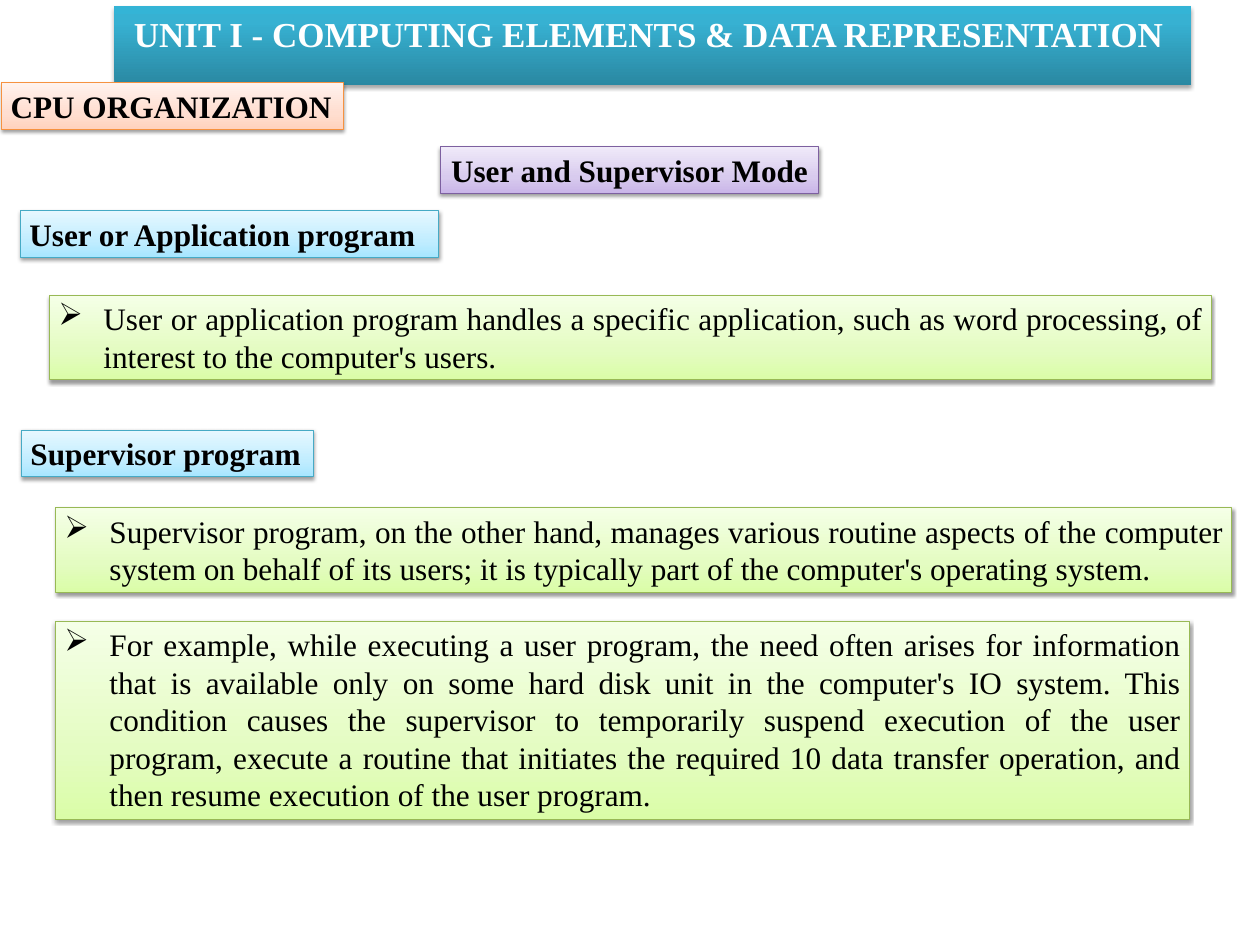
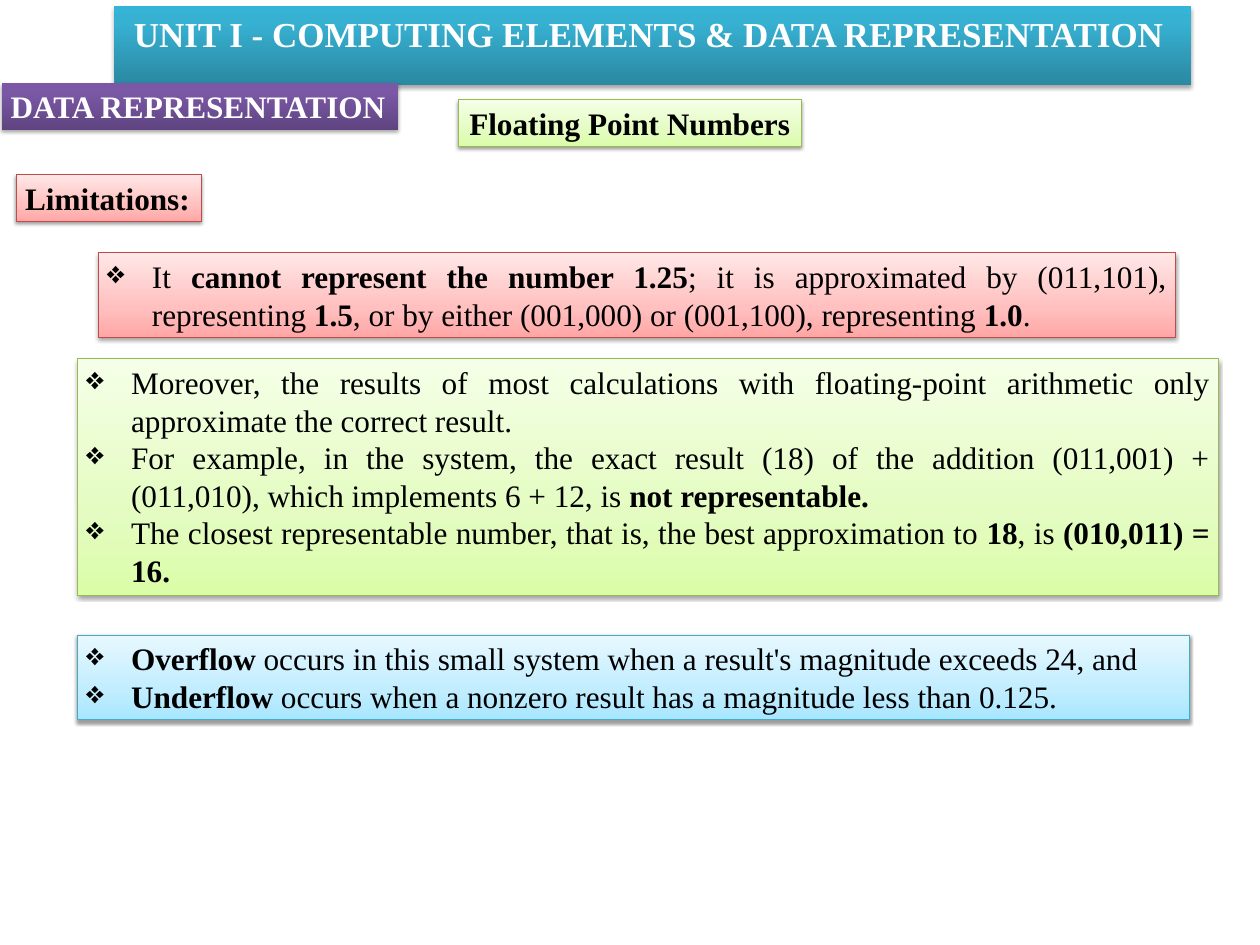
import copy

import lxml.etree
import pptx
import pptx.dml.color
import pptx.enum.text
import pptx.oxml
import pptx.oxml.ns
import pptx.util

Cm = pptx.util.Cm
Pt = pptx.util.Pt
RGBColor = pptx.dml.color.RGBColor
qn = pptx.oxml.ns.qn
ALIGN = pptx.enum.text.PP_ALIGN

FONT = "Times New Roman"
UNIT_TITLE = "UNIT I - COMPUTING ELEMENTS & DATA REPRESENTATION "
TITLE_BOX = (3.23, 0.18, 30.38, 1.55)
LABEL_HEIGHT = 1.32
LINE_HEIGHT = 1.07
TEXT_MARGIN = 0.25
INDENT = 1.27

BLACK = RGBColor(0x00, 0x00, 0x00)
WHITE = RGBColor(0xFF, 0xFF, 0xFF)
TEAL = (RGBColor(0x2A, 0x88, 0xA2), RGBColor(0x37, 0xB1, 0xD2), RGBColor(0x34, 0xB4, 0xD6))
VIOLET = (RGBColor(0x5F, 0x44, 0x80), RGBColor(0x7B, 0x58, 0xA6), RGBColor(0x7C, 0x57, 0xA8))
ORANGE = (RGBColor(0xFF, 0xD2, 0xBD), RGBColor(0xFF, 0xDE, 0xD0), RGBColor(0xFF, 0xF2, 0xED))
LILAC = (RGBColor(0xC9, 0xB5, 0xE8), RGBColor(0xD8, 0xCB, 0xEE), RGBColor(0xF0, 0xEA, 0xF9))
BLUE = (RGBColor(0xA7, 0xE6, 0xFF), RGBColor(0xC1, 0xED, 0xFF), RGBColor(0xE7, 0xF8, 0xFF))
GREEN = (RGBColor(0xDA, 0xFD, 0xA7), RGBColor(0xE4, 0xFC, 0xC2), RGBColor(0xF5, 0xFF, 0xE7))
RED = (RGBColor(0xFF, 0xA6, 0xA5), RGBColor(0xFF, 0xC0, 0xBF), RGBColor(0xFF, 0xE7, 0xE7))
BORDERS = {
    ORANGE: RGBColor(0xF6, 0x92, 0x40),
    LILAC: RGBColor(0x7D, 0x60, 0xA0),
    BLUE: RGBColor(0x46, 0xAA, 0xC5),
    GREEN: RGBColor(0x98, 0xB9, 0x55),
    RED: RGBColor(0xBF, 0x4C, 0x48),
}

SLIDES = [
    {
        "bullet": "➢",
        "labels": [
            ("CPU ORGANIZATION", ORANGE, 0.05, 2.34, 9.65, ALIGN.LEFT, False),
            ("User and Supervisor Mode", LILAC, 12.42, 4.14, 10.69, ALIGN.CENTER, False),
            ("User or Application program", BLUE, 0.58, 5.94, 11.81, ALIGN.LEFT, True),
            ("Supervisor program", BLUE, 0.61, 12.14, 8.23, ALIGN.LEFT, False),
        ],
        "bodies": [
            (GREEN, 1.4, 8.33, 32.79, 2, [
                "User or application program handles a specific application, such as word "
                "processing, of interest to the computer's users.",
            ]),
            (GREEN, 1.57, 14.33, 33.2, 2, [
                "Supervisor program, on the other hand, manages various routine aspects of the "
                "computer system on behalf of its users; it is typically part of the computer's "
                "operating system.",
            ]),
            (GREEN, 1.57, 17.53, 32, 5, [
                "For example, while executing a user program, the need often arises for "
                "information that is available only on some hard disk unit in the computer's IO "
                "system. This condition causes the supervisor to temporarily suspend execution "
                "of the user program, execute a routine that initiates the required 10 data "
                "transfer operation, and then resume execution of the user program.",
            ]),
        ],
    },
    {
        "bullet": "❖",
        "labels": [
            ("DATA REPRESENTATION", VIOLET, 0.05, 2.34, 11.18, ALIGN.LEFT, False),
            ("Floating Point Numbers", GREEN, 12.93, 2.82, 9.68, ALIGN.CENTER, False),
            ("Limitations:", RED, 0.46, 4.93, 5.23, ALIGN.LEFT, False),
        ],
        "bodies": [
            (RED, 2.77, 7.14, 30.4, 2, [
                "It **cannot represent the number 1.25**; it is approximated by (011,101), "
                "representing **1.5**, or by either (001,000) or (001,100), representing **1.0**.",
            ]),
            (GREEN, 2.18, 10.13, 32.21, 6, [
                "Moreover, the results of most calculations with floating-point arithmetic only "
                "approximate the correct result. ",
                "For example, in the system, the exact result (18) of the addition (011,001) + "
                "(011,010), which implements 6 + 12, is **not representable. **",
                "The closest representable number, that is, the best approximation to **18**, "
                "is **(010,011) = 16.**",
            ]),
            (BLUE, 2.18, 17.93, 31.39, 2, [
                "**Overflow **occurs in this small system when a result's magnitude exceeds 24, and ",
                "**Underflow** occurs when a nonzero result has a magnitude less than 0.125.",
            ]),
        ],
    },
]


def style_box(shape, colors, wrap):
    strong = colors not in BORDERS
    shape.fill.gradient()
    shape.fill.gradient_angle = 90
    stops = shape._element.spPr.find(".//" + qn("a:gsLst"))
    stops.insert(1, copy.deepcopy(stops[0]))
    positions = (0, 0.8 if strong else 0.35, 1)
    for stop, color, position in zip(shape.fill.gradient_stops, colors, positions):
        stop.color.rgb = color
        stop.position = position
    if strong:
        shape.line.fill.background()
    else:
        shape.line.color.rgb = BORDERS[colors]
        shape.line.width = Pt(0.75)

    shape.shadow.inherit = False
    effects = shape._element.spPr.find(qn("a:effectLst"))
    shadow = lxml.etree.SubElement(
        effects, qn("a:outerShdw"), blurRad=str(Pt(3.1)),
        dist=str(Pt(1.8 if strong else 1.6)), dir="5400000", rotWithShape="0")
    black = lxml.etree.SubElement(shadow, qn("a:srgbClr"), val=str(BLACK))
    lxml.etree.SubElement(black, qn("a:alpha"), val="35000" if strong else "38000")

    frame = shape.text_frame
    frame.word_wrap = wrap
    frame.auto_size = pptx.enum.text.MSO_AUTO_SIZE.SHAPE_TO_FIT_TEXT
    frame.vertical_anchor = pptx.enum.text.MSO_ANCHOR.TOP


def style_paragraph(paragraph, alignment, size, color, bold):
    paragraph.alignment = alignment
    paragraph.font.name = FONT
    paragraph.font.size = Pt(size)
    paragraph.font.color.rgb = color
    paragraph.font.bold = bold


def add_box(slide, colors, left, top, width, height, wrap):
    shape = slide.shapes.add_textbox(Cm(left), Cm(top), Cm(width), Cm(height))
    style_box(shape, colors, wrap)
    return shape.text_frame


def add_title(slide):
    title = slide.shapes.title
    title.left, title.top, title.width, title.height = map(Cm, TITLE_BOX)
    style_box(title, TEAL, False)
    frame = title.text_frame
    frame.margin_left = frame.margin_right = Cm(0.36)
    frame.margin_top = frame.margin_bottom = Cm(0.18)
    frame.text = UNIT_TITLE
    style_paragraph(frame.paragraphs[0], ALIGN.CENTER, 28, WHITE, True)


def add_label(slide, text, colors, left, top, width, alignment, wrap):
    frame = add_box(slide, colors, left, top, width, LABEL_HEIGHT, wrap)
    frame.text = text
    color = BLACK if colors in BORDERS else WHITE
    style_paragraph(frame.paragraphs[0], alignment, 25, color, True)


def add_body(slide, bullet, colors, left, top, width, lines, items):
    height = lines * LINE_HEIGHT + TEXT_MARGIN
    frame = add_box(slide, colors, left, top, width, height, True)
    for index, item in enumerate(items):
        paragraph = frame.add_paragraph() if index else frame.paragraphs[0]
        properties = paragraph._p.get_or_add_pPr()
        properties.set("marL", str(Cm(INDENT)))
        properties.set("indent", str(-Cm(INDENT)))
        lxml.etree.SubElement(properties, qn("a:buChar"), char=bullet)
        style_paragraph(paragraph, ALIGN.JUSTIFY, 25, BLACK, False)
        for part, text in enumerate(item.split("**")):
            if text:
                run = paragraph.add_run()
                run.text = text
                if part % 2:
                    run.font.bold = True


def main():
    presentation = pptx.Presentation()
    presentation.slide_width = Cm(35.56)
    presentation.slide_height = Cm(26.67)
    for content in SLIDES:
        slide = presentation.slides.add_slide(presentation.slide_layouts[5])
        add_title(slide)
        for label in content["labels"]:
            add_label(slide, *label)
        for body in content["bodies"]:
            add_body(slide, content["bullet"], *body)
    presentation.save("out.pptx")


if __name__ == "__main__":
    main()
